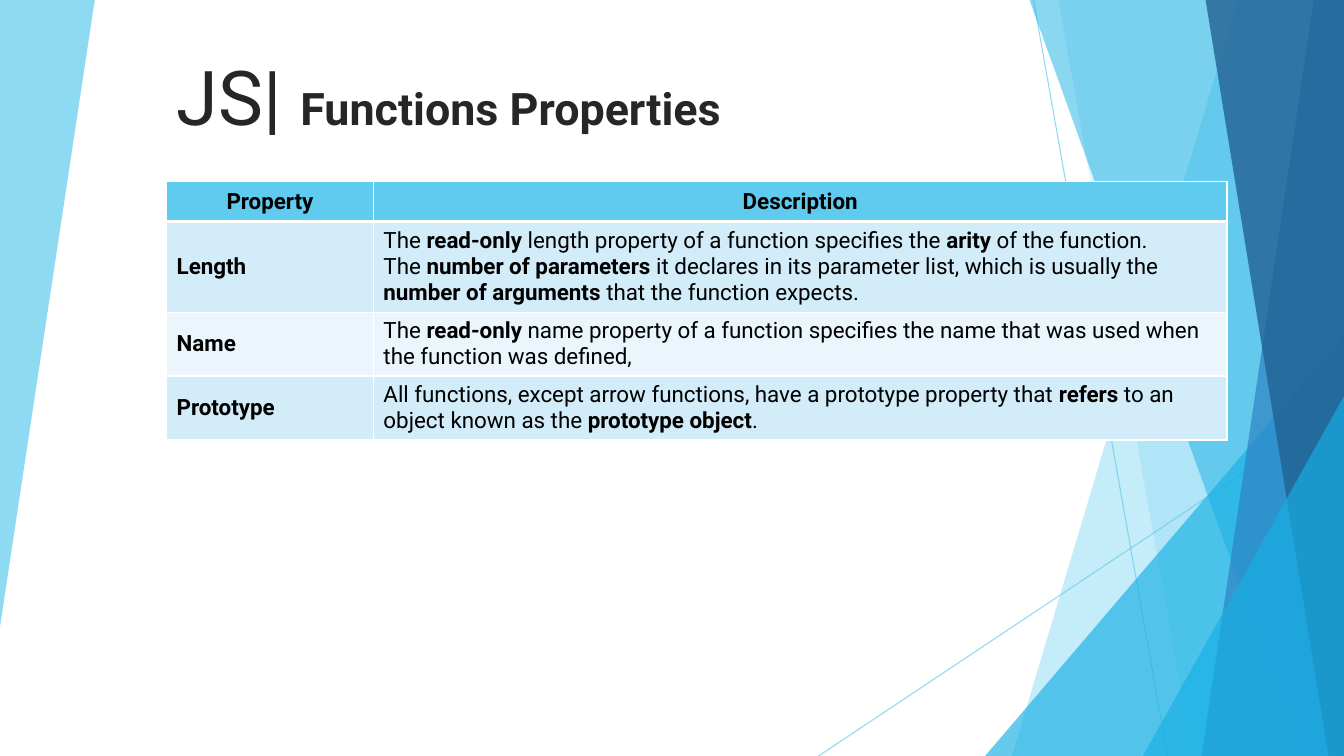
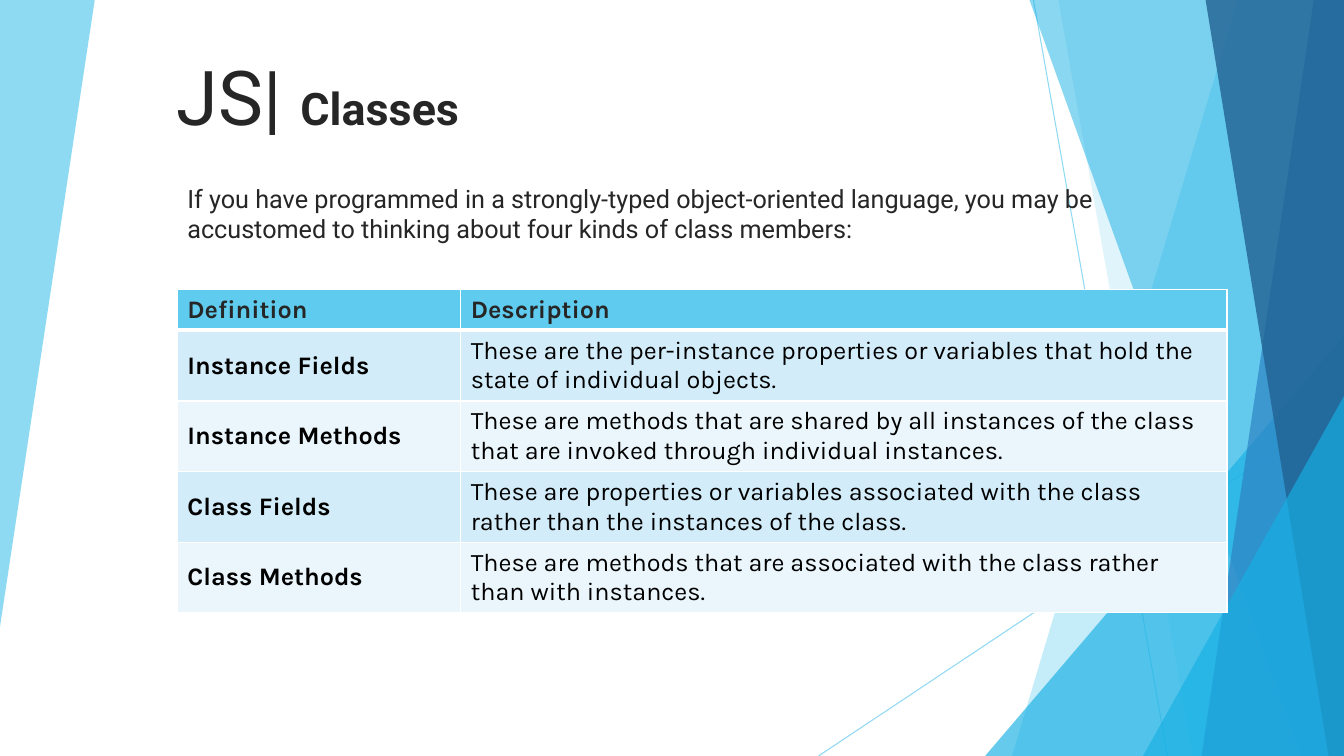
import pptx
import pptx.util
import pptx.dml.color
import pptx.enum.shapes
import pptx.enum.text
import pptx.oxml.ns
from lxml import etree

WIDE = pptx.util.Inches(13.33)
HIGH = pptx.util.Inches(7.5)
HUES = {
    "sky": "5FCBEF", "cyan": "17B0E4", "blue": "2E83C3", "navy": "226292",
    "ink": "262626", "black": "000000", "white": "FFFFFF",
    "odd": "D2ECF9", "even": "EAF6FC",
}
MID = pptx.enum.text.MSO_ANCHOR.MIDDLE
LEFT = pptx.enum.text.PP_ALIGN.LEFT
CENTER = pptx.enum.text.PP_ALIGN.CENTER
qn = pptx.oxml.ns.qn


def across(share):
    """Percent of the slide's width as a length."""
    return pptx.util.Emu(round(WIDE * share / 100))


def down(share):
    """Percent of the slide's height as a length."""
    return pptx.util.Emu(round(HIGH * share / 100))


def place(box):
    x, y, w, h = box
    return across(x), down(y), across(w), down(h)


def rgb(hue):
    return pptx.dml.color.RGBColor.from_string(HUES[hue])


def tint(fill, hue):
    fill.solid()
    fill.fore_color.rgb = rgb(hue)


def fade(shape, share):
    """Make every colour of the shape opaque by share percent."""
    for node in shape.element.iter(qn("a:srgbClr")):
        etree.SubElement(node, qn("a:alpha"), val=str(share * 1000))


def coat(shape, hue, share):
    shape.shadow.inherit = False
    shape.line.fill.background()
    tint(shape.fill, hue)
    fade(shape, share)


# ---- backdrop ----

def facet(slide, points, hue, share):
    first, *rest = [(across(x), down(y)) for x, y in points]
    path = slide.shapes.build_freeform(*first)
    path.add_line_segments(rest, close=True)
    coat(path.convert_to_shape(), hue, share)


def wedge(slide, top, base, hue, share):
    """Full-height facet that reaches the right edge."""
    facet(slide, [(top, 0), (100, 0), (100, 100), (base, 100)], hue, share)


def peak(slide, x, y):
    """Triangle rising to the right edge from the lower one."""
    shape = slide.shapes.add_shape(
        pptx.enum.shapes.MSO_SHAPE.ISOSCELES_TRIANGLE,
        *place((x, y, 100 - x, 100 - y)))
    shape.adjustments[0] = 1
    coat(shape, "cyan", 66)


def ray(slide, x1, y1, x2, y2):
    line = slide.shapes.add_connector(
        pptx.enum.shapes.MSO_CONNECTOR.STRAIGHT,
        across(x1), down(y1), across(x2), down(y2))
    line.line.width = pptx.util.Pt(0.75)
    tint(line.line.fill, "sky")
    fade(line, 70)
    etree.SubElement(line.element.spPr, qn("a:effectLst"))


def backdrop(slide):
    facet(slide, [(0, 0), (7.05, 0), (0, 82.9)], "sky", 70)
    ray(slide, 76.9, 0, 86.87, 100)
    ray(slide, 100, 53.73, 60.9, 100)
    wedge(slide, 92.1, 75.3, "sky", 36)
    wedge(slide, 78.75, 88.75, "sky", 20)
    peak(slide, 73.3, 44.4)
    wedge(slide, 76.6, 96.83, "cyan", 50)
    wedge(slide, 97.75, 89.4, "blue", 70)
    wedge(slide, 89.7, 98.85, "navy", 80)
    peak(slide, 85.05, 52.4)


# ---- text ----

def write(frame, text, size, hue, face="Roboto", align=LEFT):
    """Fill a frame line by line; ** switches bold on and off."""
    frame.word_wrap = True
    for i, line in enumerate(text.split("\n")):
        para = frame.add_paragraph() if i else frame.paragraphs[0]
        para.alignment = align
        para.font.name = face
        para.font.size = pptx.util.Pt(size)
        para.font.color.rgb = rgb(hue)
        for j, part in enumerate(line.split("**")):
            if part:
                run = para.add_run()
                run.text = part
                run.font.bold = j % 2 == 1


def note(slide, box, text, size):
    frame = slide.shapes.add_textbox(*place(box)).text_frame
    write(frame, text, size, "ink")
    return frame


def title(slide, text):
    frame = note(slide, (12.4, 5.1, 63.7, 14.1), f"JS| **{text}**", 32)
    frame.vertical_anchor = pptx.enum.text.MSO_ANCHOR.BOTTOM
    frame.paragraphs[0].runs[0].font.size = pptx.util.Pt(54)


# ---- table ----

def edge(cell, row):
    """White borders, thick between the header and the body."""
    thick = {("B", 0), ("T", 1)}
    props = cell._tc.get_or_add_tcPr()
    for side in "LRTB":
        width = pptx.util.Pt(3 if (side, row) in thick else 1)
        line = etree.SubElement(props, qn(f"a:ln{side}"), w=str(width))
        fill = etree.SubElement(line, qn("a:solidFill"))
        etree.SubElement(fill, qn("a:srgbClr"), val=HUES["white"])


def chart(slide, box, split, rows, heights, size, face="Roboto",
          head="black", align=LEFT):
    """Two-column table; split is the first column's share of the width."""
    x, y, w = box
    grid = slide.shapes.add_table(
        len(rows), 2, *place((x, y, w, sum(heights)))).table
    grid.horz_banding = False
    for col, share in zip(grid.columns, (split, 1 - split)):
        col.width = across(w * share)
    for i, (texts, height) in enumerate(zip(rows, heights)):
        grid.rows[i].height = down(height)
        for j, text in enumerate(texts):
            cell = grid.cell(i, j)
            edge(cell, i)
            tint(cell.fill, "odd" if i % 2 else "even" if i else "sky")
            cell.vertical_anchor = MID
            bold = text if i and j else f"**{text}**"
            write(cell.text_frame, bold, size, "black" if i else head,
                  face, LEFT if i else align)


TRAITS = (
    ("Property", "Description"),
    ("Length",
     "The **read-only** length property of a function specifies the "
     "**arity** of the function.\n"
     "The **number of parameters **it declares in its parameter list, "
     "which is usually the **number of arguments **that the function "
     "expects."),
    ("Name",
     "The **read-only** name property of a function specifies the name "
     "that was used when the function was defined,"),
    ("Prototype",
     "All functions, except arrow functions, have a prototype property "
     "that **refers** to an object known as the **prototype object**."),
)
MEMBERS = (
    ("Definition", "Description"),
    ("Instance Fields",
     "These are the per-instance properties or variables that hold the "
     "state of individual objects."),
    ("Instance Methods",
     "These are methods that are shared by all instances of the class "
     "that are invoked through individual instances."),
    ("Class Fields",
     "These are properties or variables associated with the class rather "
     "than the instances of the class."),
    ("Class Methods",
     "These are methods that are associated with the class rather than "
     "with instances."),
)


def start(deck, text):
    """Add a slide with the shared backdrop and title."""
    slide = deck.slides.add_slide(deck.slide_layouts[6])
    backdrop(slide)
    title(slide, text)
    return slide


def traits(deck):
    slide = start(deck, "Functions Properties")
    chart(slide, (12.4, 24, 78.9), 0.195, TRAITS, (5.3, 11.7, 8.3, 8.3),
          16, align=CENTER)


def members(deck):
    slide = start(deck, "Classes")
    note(slide, (13.2, 23.6, 77, 9.5),
         "If you have programmed in a strongly-typed object-oriented "
         "language, you may be accustomed to thinking about four kinds of "
         "class members:", 18)
    chart(slide, (13.2, 38.3, 78.1), 0.27, MEMBERS, (5.4,) + (9.33,) * 4,
          18, face="Karla", head="ink")


def main():
    deck = pptx.Presentation()
    deck.slide_width, deck.slide_height = WIDE, HIGH
    traits(deck)
    members(deck)
    deck.save("out.pptx")


if __name__ == "__main__":
    main()
